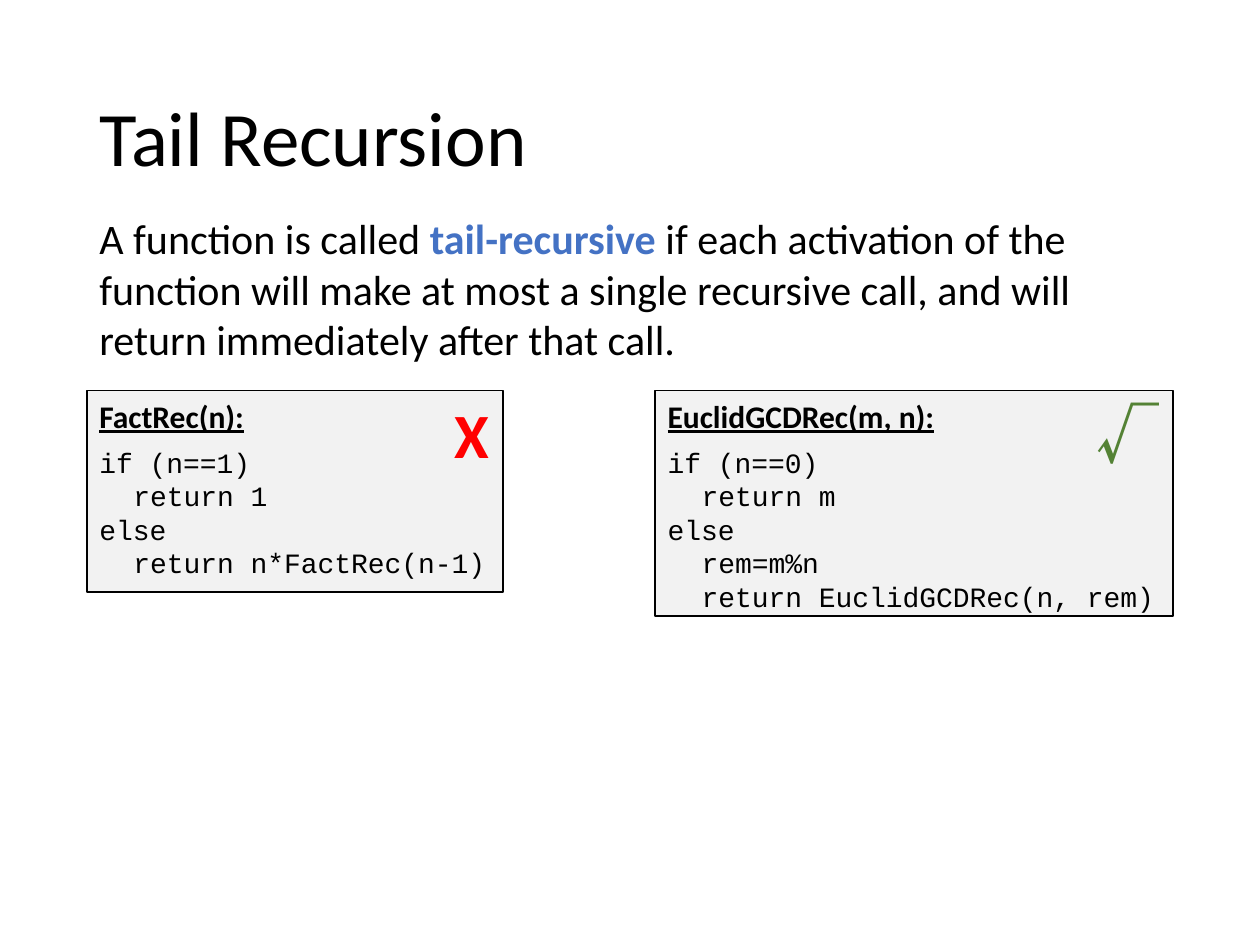
import pptx
import pptx.util
import pptx.dml.color
import pptx.enum.shapes
import pptx.enum.text
import pptx.oxml.ns
import lxml.etree

Inches = pptx.util.Inches
Pt = pptx.util.Pt
RGBColor = pptx.dml.color.RGBColor
Anchor = pptx.enum.text.MSO_ANCHOR
AutoSize = pptx.enum.text.MSO_AUTO_SIZE
Align = pptx.enum.text.PP_ALIGN

BLACK = RGBColor(0x00, 0x00, 0x00)
BLUE = RGBColor(0x44, 0x72, 0xC4)
GRAY = RGBColor(0xF2, 0xF2, 0xF2)
RED = RGBColor(0xFF, 0x00, 0x00)
GREEN = RGBColor(0x54, 0x82, 0x35)


def add_span(para, text, size=24, font="Calibri", color=BLACK, bold=False, underline=False):
    span = para.add_run()
    span.text = text
    span.font.size = Pt(size)
    span.font.name = font
    span.font.color.rgb = color
    span.font.bold = bold
    span.font.underline = underline
    return span


class SlideBuilder:
    text_font = "Calibri"
    code_font = "Courier New"
    code_size = 16
    code_indent = Inches(0.27)

    def __init__(self, page):
        self.page = page

    def place(self, shape, left, top, width, height):
        shape.left, shape.top = Inches(left), Inches(top)
        shape.width, shape.height = Inches(width), Inches(height)

    def title(self, text, *area):
        box = self.page.shapes.title
        self.place(box, *area)
        frame = box.text_frame
        frame.auto_size = AutoSize.NONE
        frame.vertical_anchor = Anchor.MIDDLE
        para = frame.paragraphs[0]
        para.alignment = Align.LEFT
        para.line_spacing = 0.9
        add_span(para, text, size=44, font=self.text_font)

    def text(self, spans, *area, wrap=True):
        box = self.page.shapes.add_textbox(*map(Inches, area))
        frame = box.text_frame
        frame.word_wrap = wrap
        frame.auto_size = AutoSize.SHAPE_TO_FIT_TEXT
        for text, style in spans:
            add_span(frame.paragraphs[0], text, **style)
        return box

    def code(self, heading, lines, *area):
        box = self.page.shapes.add_shape(
            pptx.enum.shapes.MSO_SHAPE.RECTANGLE, *map(Inches, area))
        box.shadow.inherit = False
        box.fill.solid()
        box.fill.fore_color.rgb = GRAY
        box.line.color.rgb = BLACK
        box.line.width = Pt(1)
        frame = box.text_frame
        frame.word_wrap = True
        frame.vertical_anchor = Anchor.TOP
        para = frame.paragraphs[0]
        para.alignment = Align.LEFT
        para.space_after = Pt(6)
        add_span(para, heading, size=18, font=self.text_font, bold=True, underline=True)
        for level, line in lines:
            para = frame.add_paragraph()
            para.alignment = Align.LEFT
            para._p.get_or_add_pPr().set("marL", str(level * self.code_indent))
            add_span(para, line, size=self.code_size, font=self.code_font)

    def mark(self, text, color, *area, font="Calibri"):
        style = dict(size=36, font=font, color=color, bold=True)
        box = self.text([(text, style)], *area, wrap=False)
        properties = box.text_frame.paragraphs[0].runs[0].font._element
        for tag in ("a:ea", "a:sym"):
            face = lxml.etree.SubElement(properties, pptx.oxml.ns.qn(tag))
            face.set("typeface", font)


deck = pptx.Presentation()
deck.slide_width = Inches(10)
deck.slide_height = Inches(7.5)
builder = SlideBuilder(deck.slides.add_slide(deck.slide_layouts[5]))

LEFT, WIDTH = 0.69, 8.62
CODE_TOP, MARK_TOP = 3.1, 3.09

builder.title("Tail Recursion", LEFT, 0.4, WIDTH, 1.45)
builder.text([
    ("A function is called ", {}),
    ("tail-recursive", dict(color=BLUE, bold=True)),
    (" if each activation of the function will make at most a single recursive call, "
     "and will return immediately after that call.", {}),
], LEFT, 1.64, WIDTH, 1.31)

builder.code("FactRec(n):", [
    (0, "if (n==1)"),
    (1, "return 1"),
    (0, "else"),
    (1, "return n*FactRec(n-1)"),
], LEFT, CODE_TOP, 3.3, 1.6)
builder.mark("X", RED, 3.51, MARK_TOP, 0.48, 0.71)

builder.code("EuclidGCDRec(m, n):", [
    (0, "if (n==0)"),
    (1, "return m"),
    (0, "else"),
    (1, "rem=m%n"),
    (1, "return EuclidGCDRec(n, rem)"),
], 5.2, CODE_TOP, 4.11, 1.79)
builder.mark("√", GREEN, 8.6, MARK_TOP, 0.71, 0.71, font="Noto Sans CJK SC")

deck.save("out.pptx")
